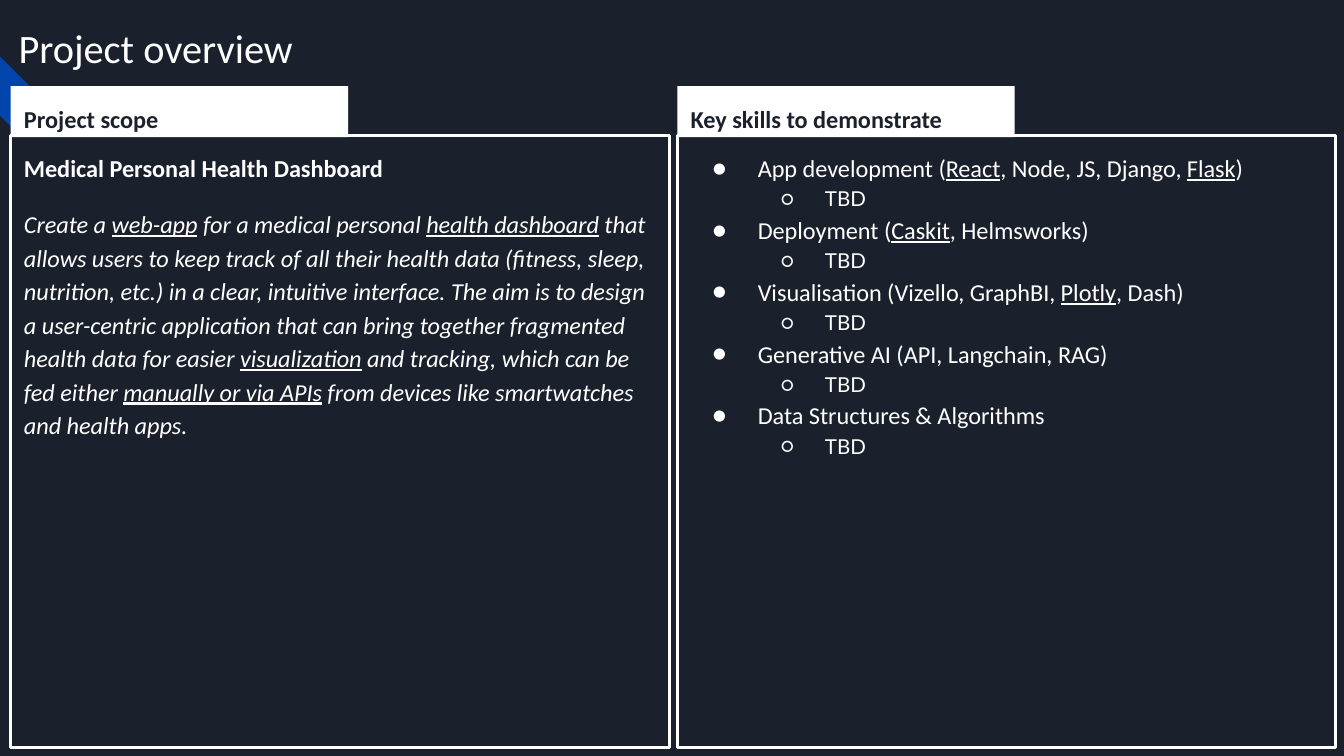
import pptx
import pptx.util
import pptx.dml.color
import pptx.enum.shapes
import pptx.enum.text
import pptx.oxml.ns
from lxml import etree

Inches, Pt = pptx.util.Inches, pptx.util.Pt
SHAPES = pptx.enum.shapes.MSO_SHAPE

# Content: text between asterisks is underlined
TITLE = "Project overview"
SCOPE_HEADING = "Project scope"
SCOPE_NAME = "Medical Personal Health Dashboard"
SCOPE_TEXT = (
    "Create a *web-app* for a medical personal *health dashboard* that allows users "
    "to keep track of all their health data (fitness, sleep, nutrition, etc.) in a "
    "clear, intuitive interface. The aim is to design a user-centric application that "
    "can bring together fragmented health data for easier *visualization* and tracking, "
    "which can be fed either *manually or via APIs* from devices like smartwatches and "
    "health apps."
)
SKILLS_HEADING = "Key skills to demonstrate"
SKILLS = [
    ("App development (*React*, Node, JS, Django, *Flask*)", "TBD"),
    ("Deployment (*Caskit*, Helmsworks)", "TBD"),
    ("Visualisation (Vizello, GraphBI, *Plotly*, Dash)", "TBD"),
    ("Generative AI (API, Langchain, RAG)", "TBD"),
    ("Data Structures & Algorithms", "TBD"),
]

# Formats
COLORS = {"navy": "1B212C", "white": "FFFFFF", "blue": "0145AC"}
BODY = {"name": "Calibri", "size": Pt(13)}
BOLD = {**BODY, "bold": True}
ITALIC = {**BODY, "italic": True}
DETAIL = {"name": "Lato", "size": Pt(11)}
TITLE_FONT = {"name": "Calibri", "size": Pt(21.6)}
LINE = {"line_spacing": 1.15}
SPACED = {**LINE, "space_before": Pt(12), "space_after": Pt(12)}
SKILL_BULLET = ("●", 0.5, -0.34)
DETAIL_BULLET = ("○", 1, -0.33)

# Layout
SLIDE_WIDTH = Inches(10)
SLIDE_HEIGHT = SLIDE_WIDTH * 9 // 16
COLUMN_LEFTS = (0.08, 5.04)
TAB_TOP, TAB_WIDTH, TAB_HEIGHT = 0.64, 2.51, 0.38
PANEL_TOP, PANEL_WIDTH, PANEL_HEIGHT = 1.01, 4.9, 4.55


def rgb(color):
    return pptx.dml.color.RGBColor.from_string(COLORS[color])


def add_block(kind, left, top, width, height, fill, outline=None):
    block = slide.shapes.add_shape(
        kind, Inches(left), Inches(top), Inches(width), Inches(height))
    block.shadow.inherit = False
    block.fill.solid()
    block.fill.fore_color.rgb = rgb(fill)
    if outline:
        block.line.color.rgb = rgb(outline)
        block.line.width = Pt(1.5)
    else:
        block.line.fill.background()
    return block


def add_bullet(paragraph, font, char, margin, indent):
    properties = paragraph._p.get_or_add_pPr()
    properties.set("marL", str(Inches(margin)))
    properties.set("indent", str(Inches(indent)))
    qn = pptx.oxml.ns.qn
    color = etree.SubElement(properties, qn("a:buClr"))
    etree.SubElement(color, qn("a:srgbClr"), val=COLORS["white"])
    etree.SubElement(properties, qn("a:buSzPts"), val=str(int(font["size"].pt * 100)))
    etree.SubElement(properties, qn("a:buFont"), typeface=font["name"])
    etree.SubElement(properties, qn("a:buChar"), char=char)


def write(block, paragraphs, color="white"):
    """Each paragraph is (text, font format, paragraph format, bullet)."""
    frame = block.text_frame
    frame.word_wrap = True
    frame.vertical_anchor = pptx.enum.text.MSO_ANCHOR.TOP
    for side in ("left", "top", "right", "bottom"):
        setattr(frame, f"margin_{side}", Inches(0.1))
    for number, (text, font, spacing, bullet) in enumerate(paragraphs):
        paragraph = frame.add_paragraph() if number else frame.paragraphs[0]
        paragraph.alignment = pptx.enum.text.PP_ALIGN.LEFT
        for key, value in spacing.items():
            setattr(paragraph, key, value)
        if bullet:
            paragraph.level = 1 if bullet is DETAIL_BULLET else 0
            add_bullet(paragraph, font, *bullet)
        for position, part in enumerate(text.split("*")):
            if not part:
                continue
            run = paragraph.add_run()
            run.text = part
            run.font.color.rgb = rgb(color)
            for key, value in font.items():
                setattr(run.font, key, value)
            if position % 2:
                run.font.underline = True


presentation = pptx.Presentation()
presentation.slide_width, presentation.slide_height = SLIDE_WIDTH, SLIDE_HEIGHT
slide = presentation.slides.add_slide(presentation.slide_layouts[6])
slide.background.fill.solid()
slide.background.fill.fore_color.rgb = rgb("navy")

# Corner stripe
stripe = add_block(SHAPES.DIAGONAL_STRIPE, 0, 0.42, 0.88, 0.88, "blue")
stripe.rotation = 270

# Title
title = slide.shapes.add_textbox(Inches(0.04), Inches(0.07), Inches(9.9), Inches(0.58))
write(title, [(TITLE, TITLE_FONT, {}, None)])

# Two columns: a framed panel under a heading tab
scope = [(SCOPE_NAME, BOLD, LINE, None), (SCOPE_TEXT, ITALIC, SPACED, None)]
skills = []
for skill, detail in SKILLS:
    skills += [(skill, BODY, LINE, SKILL_BULLET), (detail, DETAIL, LINE, DETAIL_BULLET)]

columns = [(SCOPE_HEADING, scope), (SKILLS_HEADING, skills)]
for left, (heading, paragraphs) in zip(COLUMN_LEFTS, columns):
    panel = add_block(SHAPES.RECTANGLE, left, PANEL_TOP, PANEL_WIDTH, PANEL_HEIGHT,
                      "navy", "white")
    write(panel, paragraphs)
    tab = add_block(SHAPES.RECTANGLE, left, TAB_TOP, TAB_WIDTH, TAB_HEIGHT, "white")
    write(tab, [(heading, BOLD, LINE, None)], "navy")

presentation.save("out.pptx")
